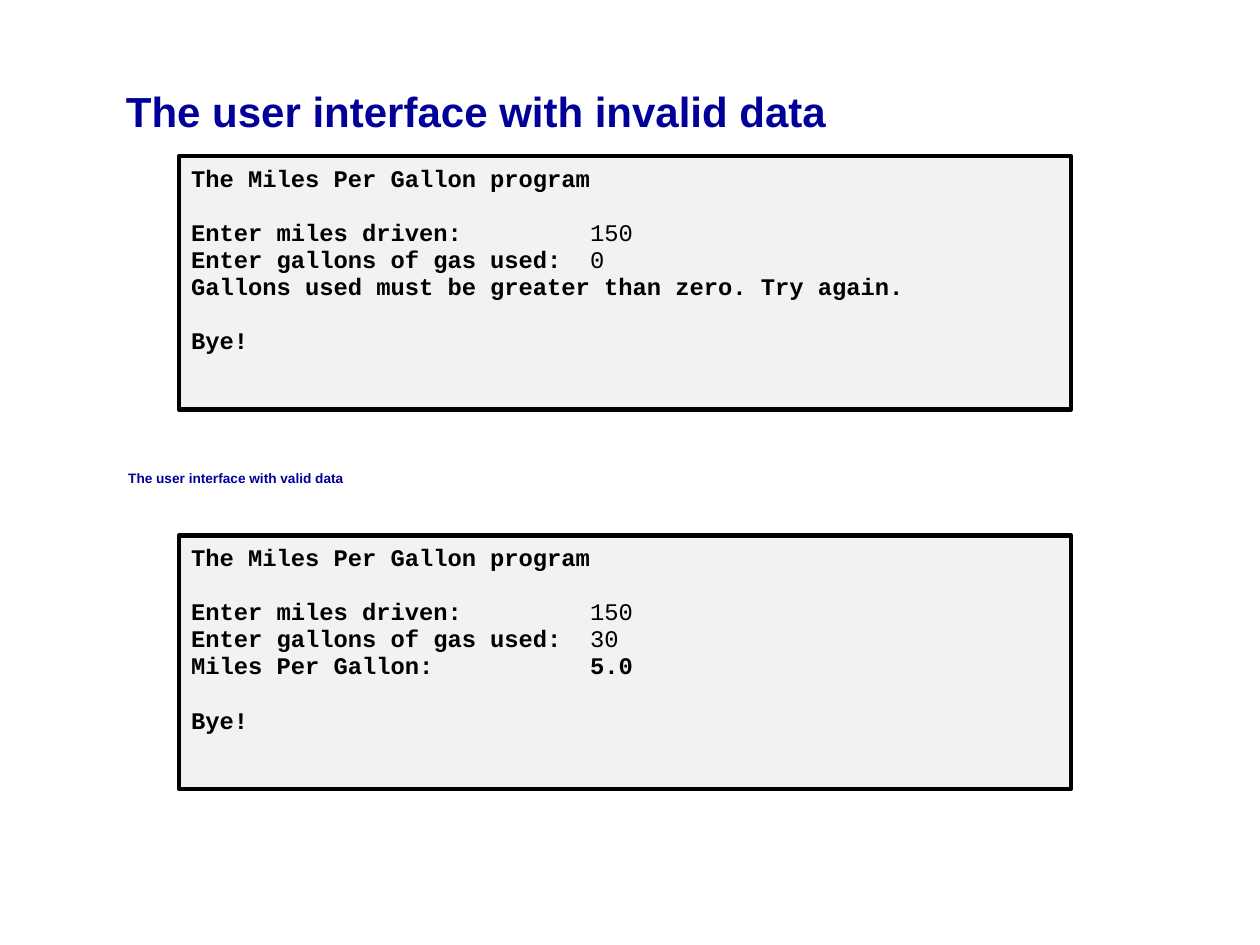
from lxml.etree import SubElement
from pptx import Presentation
from pptx.dml.color import RGBColor
from pptx.enum.shapes import MSO_SHAPE
from pptx.enum.text import MSO_ANCHOR, PP_ALIGN
from pptx.oxml.ns import qn
from pptx.util import Pt

# Content: a console is groups of lines; a line is (prompt, answer, answer is bold)
TITLE = "The user interface with invalid data"
CAPTION = "The user interface with valid data"


def session(gallons, outcome):
    return [
        [("The Miles Per Gallon program",)],
        [("Enter miles driven:", "150", False),
         ("Enter gallons of gas used:", gallons, False),
         outcome],
        [("Bye!",)],
    ]


INVALID_SESSION = session("0", ("Gallons used must be greater than zero. Try again.",))
VALID_SESSION = session("30", ("Miles Per Gallon:", "5.0", True))

THEME = {
    "heading": RGBColor(0x00, 0x00, 0x99),
    "ink": RGBColor(0x00, 0x00, 0x00),
    "panel": RGBColor(0xF2, 0xF2, 0xF2),
    "sans": "Arial",
    "mono": "Courier New",
    "title_size": Pt(24),
    "caption_size": Pt(7.8),
    "console_size": Pt(13.6),
}

# Layout in points
TITLE_BOX = (72, 49, 576, 29)
CAPTION_BOX = (66.2, 263.5, 582, 36)
CONSOLE_LEFT, CONSOLE_WIDTH, CONSOLE_HEIGHT = 102.2, 510, 144.7
CONSOLE_TOPS = (89.3, 306)
LINE_PITCH = 15.5
ANSWER_TAB = 228


def set_all(target, values):
    for key, value in values.items():
        setattr(target, key, value)


def add_run(paragraph, text, face, size, color, bold=True):
    run = paragraph.add_run()
    run.text = text
    set_all(run.font, {"name": THEME[face], "size": THEME[size], "bold": bold})
    run.font.color.rgb = THEME[color]


def set_frame(frame, inset_x, inset_y, anchor):
    set_all(frame, {
        "word_wrap": True, "vertical_anchor": anchor,
        "margin_left": Pt(inset_x), "margin_right": Pt(inset_x),
        "margin_top": Pt(inset_y), "margin_bottom": Pt(inset_y),
    })


def add_heading(slide, text, box, size, inset_x, inset_y, anchor, spacing):
    heading = slide.shapes.add_textbox(*map(Pt, box))
    set_frame(heading.text_frame, inset_x, inset_y, anchor)
    paragraph = heading.text_frame.paragraphs[0]
    paragraph.line_spacing = spacing
    add_run(paragraph, text, "sans", size, "heading")


def add_console(slide, groups, top):
    console = slide.shapes.add_shape(
        MSO_SHAPE.RECTANGLE, Pt(CONSOLE_LEFT), Pt(top), Pt(CONSOLE_WIDTH), Pt(CONSOLE_HEIGHT))
    console.shadow.inherit = False
    console.fill.solid()
    console.fill.fore_color.rgb = THEME["panel"]
    console.line.color.rgb = THEME["ink"]
    console.line.width = Pt(2.5)
    frame = console.text_frame
    set_frame(frame, 7.2, 4.8, MSO_ANCHOR.TOP)

    for group_index, group in enumerate(groups):
        for line_index, (prompt, *answer) in enumerate(group):
            first = group_index == line_index == 0
            paragraph = frame.paragraphs[0] if first else frame.add_paragraph()
            # One line of space separates the groups
            gap = LINE_PITCH if group_index and line_index == 0 else 0
            set_all(paragraph, {"alignment": PP_ALIGN.LEFT, "line_spacing": Pt(LINE_PITCH),
                                "space_before": Pt(gap)})
            add_run(paragraph, prompt, "mono", "console_size", "ink")
            if answer:
                text, bold = answer
                tabs = SubElement(paragraph._p.get_or_add_pPr(), qn("a:tabLst"))
                SubElement(tabs, qn("a:tab"), pos=str(Pt(ANSWER_TAB)), algn="l")
                add_run(paragraph, "\t" + text, "mono", "console_size", "ink", bold)


def main():
    deck = Presentation()
    deck.slide_width, deck.slide_height = Pt(720), Pt(540)
    slide = deck.slides.add_slide(deck.slide_layouts[6])

    # Headings
    add_heading(slide, TITLE, TITLE_BOX, "title_size", 0, 0, MSO_ANCHOR.MIDDLE, 1.0)
    add_heading(slide, CAPTION, CAPTION_BOX, "caption_size", 7.2, 3.6, MSO_ANCHOR.TOP, 1.15)

    # Consoles
    for groups, top in zip((INVALID_SESSION, VALID_SESSION), CONSOLE_TOPS):
        add_console(slide, groups, top)

    deck.save("out.pptx")


if __name__ == "__main__":
    main()
